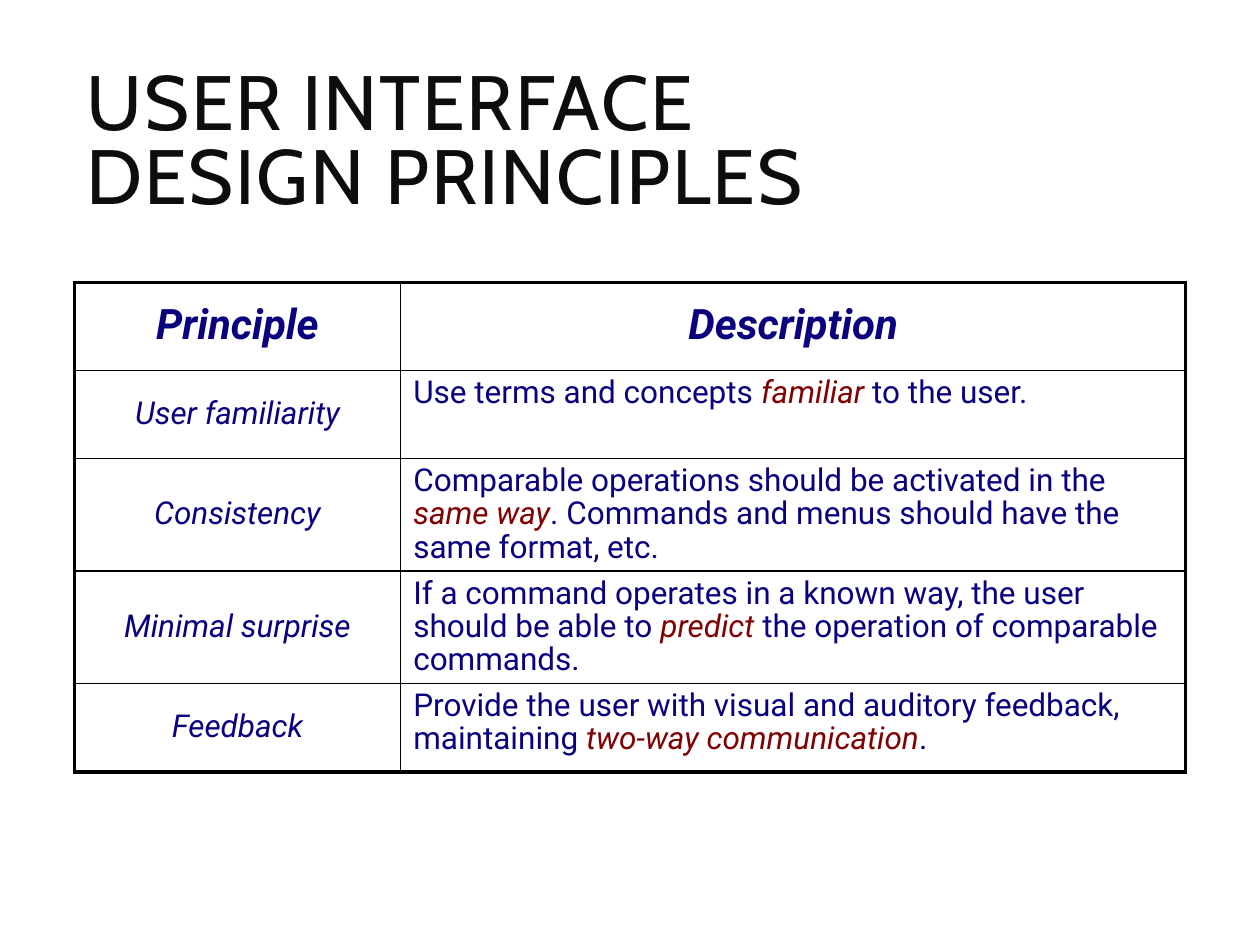
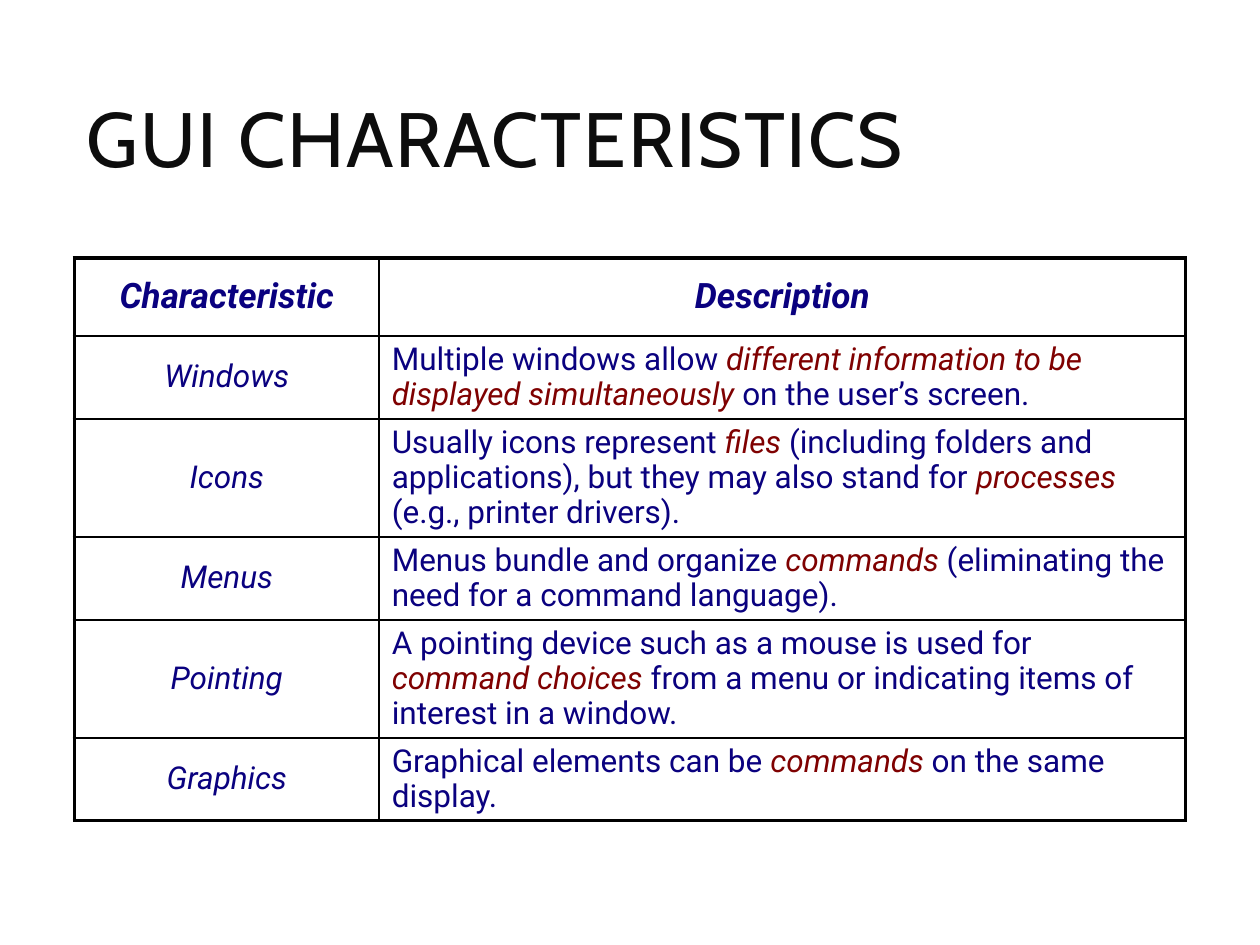
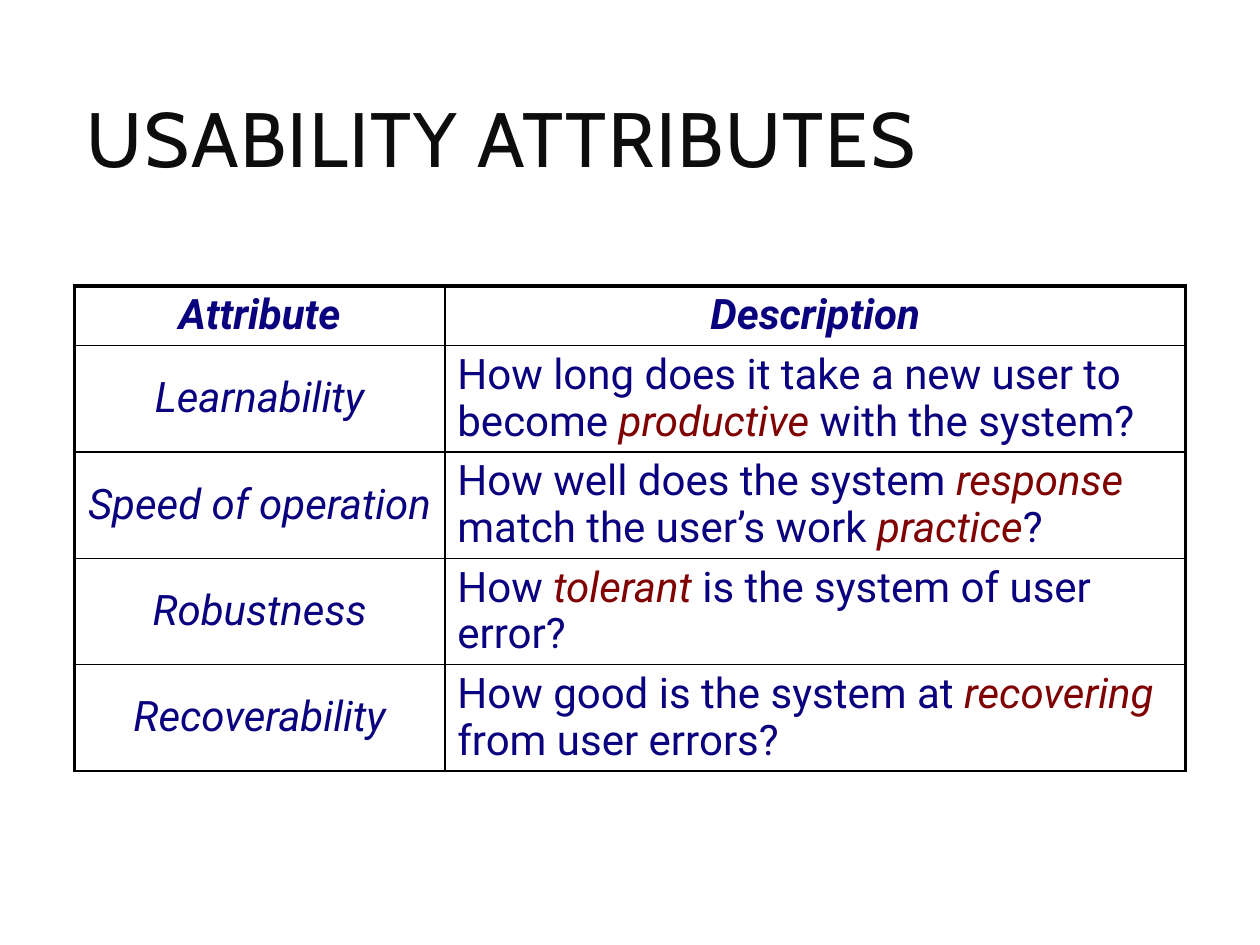
from lxml import etree
from pptx import Presentation
from pptx.dml.color import RGBColor
from pptx.enum.text import MSO_ANCHOR, MSO_AUTO_SIZE, PP_ALIGN
from pptx.oxml.ns import qn
from pptx.util import Pt

LEFT, CENTER = PP_ALIGN.LEFT, PP_ALIGN.CENTER
TOP, MIDDLE = MSO_ANCHOR.TOP, MSO_ANCHOR.MIDDLE
NO_AUTOFIT = MSO_AUTO_SIZE.NONE

TITLE_COLOR, TEXT_COLOR, EMPHASIS_COLOR, RULE_COLOR = "0D0D0D", "0A017F", "7F0101", "000000"
TITLE_FONT, TABLE_FONT = "Cabin", "Roboto"
MARGIN, TABLE_WIDTH = 42.5, 635
THIN, THICK = 1, 2.25

SECTIONS = [
    {
        "title": "USER INTERFACE DESIGN PRINCIPLES",
        "top": 161.3, "height": 282.2, "term_width": 186.5,
        "row_heights": [50.4] * 5,
        "header_size": 24, "size": 18, "spacing": 0.9, "bottom_rule": THICK,
        "rows": [
            ("Principle", "Description"),
            ("User familiarity", "Use terms and concepts *familiar* to the user."),
            ("Consistency", "Comparable operations should be activated in the *same way*. "
                            "Commands and menus should have the same format, etc."),
            ("Minimal surprise", "If a command operates in a known way, the user should be able "
                                 "to *predict* the operation of comparable commands."),
            ("Feedback", "Provide the user with visual and auditory feedback, maintaining "
                         "*two-way communication*."),
        ],
    },
    {
        "title": "GUI CHARACTERISTICS",
        "top": 147.4, "height": 326.9, "term_width": 174.2,
        "row_heights": [44.6] * 6,
        "header_size": 20, "size": 18, "spacing": 0.95, "bottom_rule": THICK,
        "rows": [
            ("Characteristic", "Description"),
            ("Windows", "Multiple windows allow *different information to be displayed "
                        "simultaneously* on the user’s screen."),
            ("Icons", "Usually icons represent *files* (including folders and applications), "
                      "but they may also stand for *processes* (e.g., printer drivers)."),
            ("Menus", "Menus bundle and organize *commands* (eliminating the need for a "
                      "command language)."),
            ("Pointing", "A pointing device such as a mouse is used for *command choices* "
                         "from a menu or indicating items of interest in a window."),
            ("Graphics", "Graphical elements can be *commands* on the same display."),
        ],
    },
    {
        "title": "USABILITY ATTRIBUTES",
        "top": 163.4, "height": 282.2, "term_width": 211.7,
        "row_heights": [28, 36, 36, 28, 28],
        "header_size": 24, "size": 24, "spacing": 0.95, "bottom_rule": THIN,
        "rows": [
            ("Attribute", "Description"),
            ("Learnability", "How long does it take a new user to become *productive* with "
                             "the system?"),
            ("Speed of operation", "How well does the system *response* match the user’s work "
                                   "*practice*?"),
            ("Robustness", "How *tolerant* is the system of user error?"),
            ("Recoverability", "How good is the system at *recovering* from user errors?"),
        ],
    },
]


def rgb(color):
    return RGBColor.from_string(color)


def write(frame, text, *, font, size, color, align=LEFT, spacing=1.0,
          bold=False, italic=False, tracking=0):
    paragraph = frame.paragraphs[0]
    paragraph.alignment = align
    paragraph.line_spacing = spacing
    for index, part in enumerate(text.split("*")):
        emphasized = index % 2 == 1
        run = paragraph.add_run()
        run.text = part
        run.font.name = font
        run.font.size = Pt(size)
        run.font.bold = bold
        run.font.italic = italic or emphasized
        run.font.color.rgb = rgb(EMPHASIS_COLOR if emphasized else color)
        if tracking:
            run.font._element.set("spc", str(tracking * 100))


deck = Presentation()
deck.slide_width, deck.slide_height = Pt(720), Pt(540)
title_only = deck.slide_layouts[5]

for section in SECTIONS:
    slide = deck.slides.add_slide(title_only)
    title = slide.shapes.title
    title.left, title.top, title.width, title.height = Pt(MARGIN), Pt(51.1), Pt(521.3), Pt(64.1)
    title.text_frame.auto_size = NO_AUTOFIT
    title.text_frame.word_wrap = True
    title.text_frame.vertical_anchor = MIDDLE
    write(title.text_frame, section["title"], font=TITLE_FONT, size=44,
          color=TITLE_COLOR, spacing=0.8, tracking=1)

    rows = section["rows"]
    table_frame = slide.shapes.add_table(len(rows), 2, Pt(MARGIN), Pt(section["top"]),
                                         Pt(TABLE_WIDTH), Pt(section["height"]))
    table = table_frame.table
    table.first_row = table.horz_banding = False
    table.columns[0].width = Pt(section["term_width"])
    table.columns[1].width = Pt(TABLE_WIDTH - section["term_width"])

    for row_index, row in enumerate(rows):
        table.rows[row_index].height = Pt(section["row_heights"][row_index])
        is_header = row_index == 0
        is_last = row_index == len(rows) - 1
        for column_index, text in enumerate(row):
            is_term = column_index == 0
            centered = is_header or is_term
            cell = table.cell(row_index, column_index)
            cell.vertical_anchor = MIDDLE if centered else TOP
            write(cell.text_frame, text, font=TABLE_FONT,
                  size=section["header_size" if is_header else "size"],
                  color=TEXT_COLOR, align=CENTER if centered else LEFT,
                  spacing=section["spacing"], bold=is_header, italic=centered)

            rules = {
                "a:lnL": THICK if is_term else THIN,
                "a:lnR": THIN if is_term else THICK,
                "a:lnT": THICK if is_header else THIN,
                "a:lnB": section["bottom_rule"] if is_last else THIN,
            }
            properties = cell._tc.get_or_add_tcPr()
            for side, weight in rules.items():
                rule = etree.SubElement(properties, qn(side), w=str(Pt(weight)))
                fill = etree.SubElement(rule, qn("a:solidFill"))
                etree.SubElement(fill, qn("a:srgbClr"), val=RULE_COLOR)
            cell.fill.background()

    table_frame.height = Pt(section["height"])

deck.save("out.pptx")
